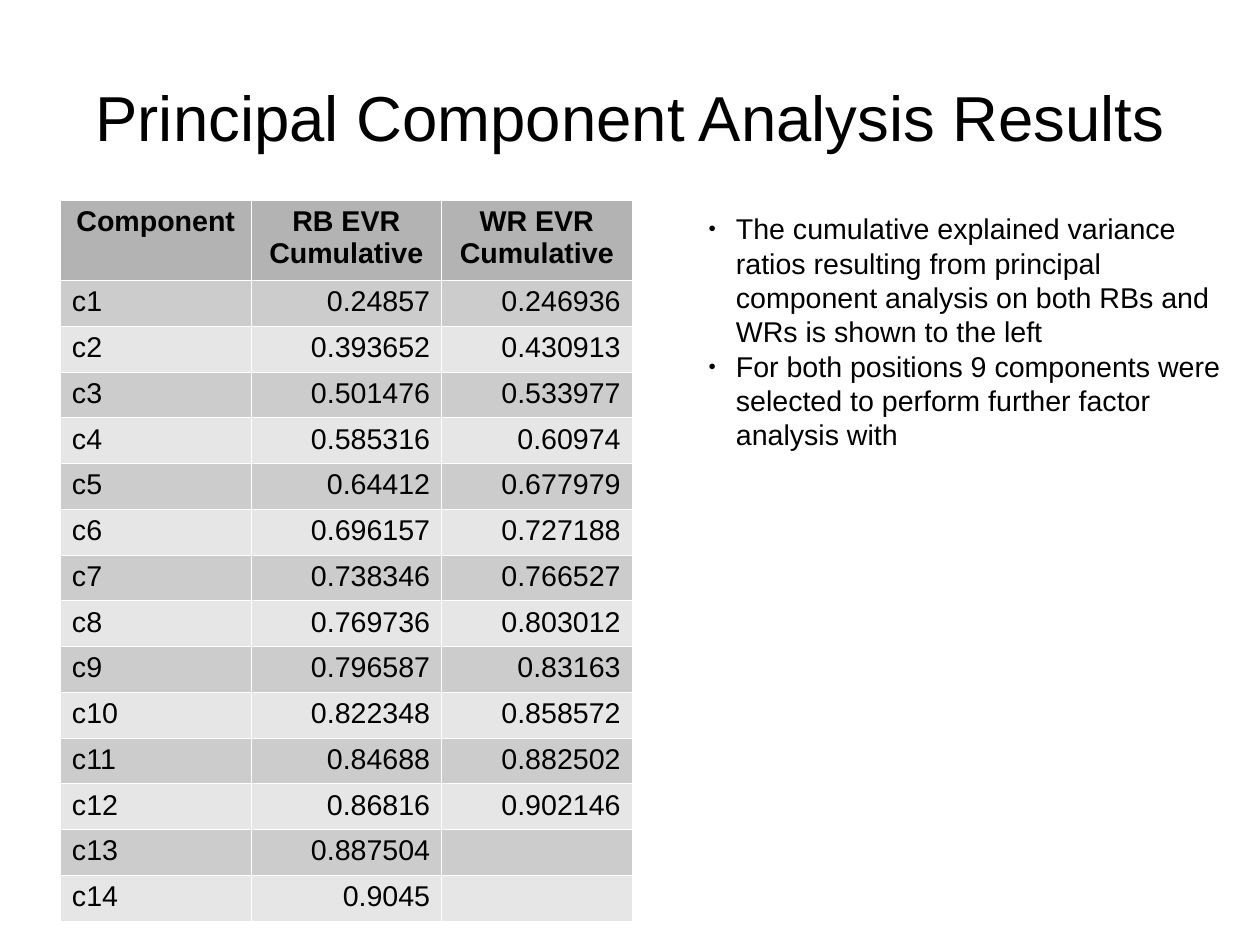
from lxml.etree import SubElement
from pptx import Presentation
from pptx.dml.color import RGBColor
from pptx.enum.text import MSO_ANCHOR as Anchor, PP_ALIGN as Align
from pptx.oxml.ns import qn
from pptx.util import Inches, Pt

BLACK, WHITE = "000000", "FFFFFF"
HEADER_GREY, DARK_GREY, LIGHT_GREY = "B3B3B3", "CCCCCC", "E6E6E6"
CM_PER_INCH = 2.54

TITLE = "Principal Component Analysis Results"
HEADINGS = ["Component", "RB EVR Cumulative", "WR EVR Cumulative"]
RB_RATIOS = ["0.24857", "0.393652", "0.501476", "0.585316", "0.64412",
             "0.696157", "0.738346", "0.769736", "0.796587", "0.822348",
             "0.84688", "0.86816", "0.887504", "0.9045"]
WR_RATIOS = ["0.246936", "0.430913", "0.533977", "0.60974", "0.677979",
             "0.727188", "0.766527", "0.803012", "0.83163", "0.858572",
             "0.882502", "0.902146", "", ""]
FINDINGS = [
    "The cumulative explained variance ratios resulting from principal "
    "component analysis on both RBs and WRs is shown to the left",
    "For both positions 9 components were selected to perform further "
    "factor analysis with",
]


def rgb(hex_color):
    return RGBColor.from_string(hex_color)


def write(paragraph, text, size=18, bold=False, align=Align.LEFT):
    paragraph.alignment = align
    run = paragraph.add_run()
    run.text = text
    font = run.font
    font.name, font.size, font.bold = "Arial", Pt(size), bold
    font.color.rgb = rgb(BLACK)


def add_bullet(paragraph, indent=0.24):
    props = paragraph._p.get_or_add_pPr()
    props.set("marL", str(Inches(indent)))
    props.set("indent", str(-Inches(indent)))
    color = SubElement(props, qn("a:buClr"))
    SubElement(color, qn("a:srgbClr"), val=BLACK)
    SubElement(props, qn("a:buSzPct"), val="45000")
    SubElement(props, qn("a:buFont"), typeface="Arial")
    SubElement(props, qn("a:buChar"), char="●")


def add_frame(slide, left, top, width, height, margins=(0, 0), anchor=Anchor.TOP):
    box = slide.shapes.add_textbox(*map(Inches, (left, top, width, height)))
    frame = box.text_frame
    frame.word_wrap = True
    frame.vertical_anchor = anchor
    frame.margin_left = frame.margin_right = Inches(margins[0])
    frame.margin_top = frame.margin_bottom = Inches(margins[1])
    return frame


def add_borders(cell, color=WHITE, width=0.06):
    props = cell._tc.get_or_add_tcPr()
    for position, side in enumerate(("a:lnL", "a:lnR", "a:lnT", "a:lnB")):
        line = props.makeelement(qn(side), {"w": str(Pt(width))})
        fill = SubElement(line, qn("a:solidFill"))
        SubElement(fill, qn("a:srgbClr"), val=color)
        props.insert(position, line)  # borders come before the fill


def fill_cell(cell, text, fill, **text_format):
    cell.margin_left = cell.margin_right = Inches(0.1)
    cell.margin_top = cell.margin_bottom = Inches(0.05)
    cell.fill.solid()
    cell.fill.fore_color.rgb = rgb(fill)
    add_borders(cell)
    if text:
        write(cell.text_frame.paragraphs[0], text, **text_format)


def add_ratio_table(slide):
    components = [f"c{n}" for n in range(1, len(RB_RATIOS) + 1)]
    rows = [HEADINGS, *zip(components, RB_RATIOS, WR_RATIOS)]
    frame = slide.shapes.add_table(len(rows), len(HEADINGS), Inches(0.53),
                                   Inches(1.75), Inches(5), Inches(6.29))
    table = frame.table
    for r, values in enumerate(rows):
        header = r == 0
        table.rows[r].height = Inches(0.69 if header else 0.4)
        fill = HEADER_GREY if header else DARK_GREY if r % 2 else LIGHT_GREY
        for c, value in enumerate(values):
            align = Align.CENTER if header else Align.RIGHT if c else Align.LEFT
            fill_cell(table.cell(r, c), value, fill, bold=header, align=align)


def main():
    # Slide of 28 by 21 cm
    deck = Presentation()
    deck.slide_width = Inches(28 / CM_PER_INCH)
    deck.slide_height = Inches(21 / CM_PER_INCH)
    slide = deck.slides.add_slide(deck.slide_layouts[6])

    # Title
    title = add_frame(slide, 0.55, 0.33, 9.92, 1.38, anchor=Anchor.MIDDLE)
    write(title.paragraphs[0], TITLE, size=40, align=Align.CENTER)

    # Cumulative explained variance ratios
    add_ratio_table(slide)

    # Findings
    findings = add_frame(slide, 6.1, 1.8, 4.7, 2.06, margins=(0.1, 0.05))
    for i, finding in enumerate(FINDINGS):
        paragraph = findings.add_paragraph() if i else findings.paragraphs[0]
        add_bullet(paragraph)
        write(paragraph, finding)

    deck.save("out.pptx")


if __name__ == "__main__":
    main()
